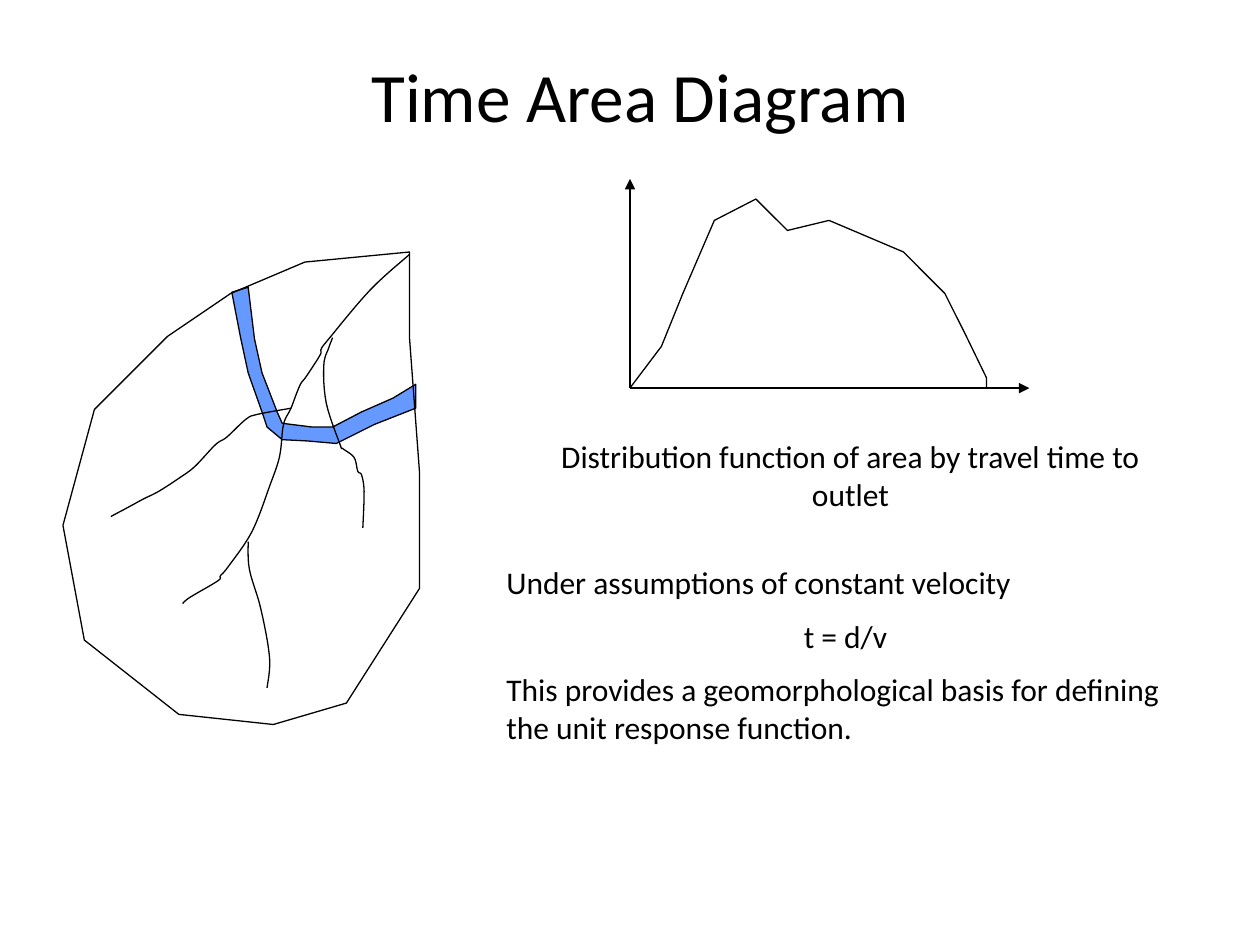
import pptx
import pptx.dml.color
import pptx.enum.shapes
import pptx.enum.text
import pptx.oxml.xmlchemy
import pptx.util

Inches = pptx.util.Inches
Pt = pptx.util.Pt
ALIGN = pptx.enum.text.PP_ALIGN
ANCHOR = pptx.enum.text.MSO_ANCHOR

COLORS = {"ink": "000000", "band": "6699FF"}
FONT = "Calibri"
LINE_WIDTH = 0.75

# Outlines in inches from the corner of their region
BASIN = [(2.75, 0), (1.92, 0.08), (1.33, 0.33), (0.83, 0.67), (0.25, 1.25),
         (0, 2.17), (0.17, 3.08), (0.92, 3.67), (1.67, 3.75), (2.25, 3.58),
         (2.83, 2.67), (2.83, 1.75), (2.75, 0.67)]
ISOCHRONE_BAND = [(1.47, 0.28), (1.52, 0.69), (1.58, 0.96), (1.7, 1.27),
                  (1.74, 1.36), (1.98, 1.39), (2.14, 1.39), (2.37, 1.27),
                  (2.62, 1.16), (2.8, 1.05), (2.8, 1.24), (2.47, 1.37),
                  (2.17, 1.52), (1.94, 1.5), (1.74, 1.49), (1.62, 1.39),
                  (1.58, 1.27), (1.47, 0.96), (1.41, 0.68), (1.34, 0.32)]
STREAMS = {
    "main": [(2.75, 0.02), (2.44, 0.3), (2.11, 0.69), (2.05, 0.77),
             (2.04, 0.82), (1.93, 0.99), (1.88, 1.06), (1.81, 1.24),
             (1.75, 1.37), (1.72, 1.62), (1.64, 1.86), (1.5, 2.22),
             (1.31, 2.5), (1.25, 2.57), (1.23, 2.61), (1.01, 2.74),
             (0.95, 2.79)],
    "west": [(1.81, 1.24), (1.54, 1.29), (1.45, 1.33), (1.3, 1.47),
             (1.21, 1.53), (1.05, 1.7), (0.93, 1.79), (0.76, 1.9),
             (0.64, 1.96), (0.53, 2.02), (0.38, 2.1)],
    "east": [(2.14, 0.68), (2.11, 0.76), (2.07, 0.9), (2.09, 1.2),
             (2.2, 1.53), (2.22, 1.56), (2.31, 1.63), (2.34, 1.74),
             (2.37, 1.77), (2.39, 1.9), (2.38, 2.19)],
    "south": [(1.47, 2.3), (1.48, 2.52), (1.57, 2.83), (1.64, 3.22),
              (1.62, 3.46)],
}
AREA_CURVE = [(0, 1.66), (0.25, 1.33), (0.42, 0.91), (0.67, 0.33), (1, 0.16),
              (1.25, 0.41), (1.58, 0.33), (2.17, 0.58), (2.5, 0.91),
              (2.67, 1.25), (2.83, 1.58), (2.83, 1.66)]


def rgb(name):
    return pptx.dml.color.RGBColor.from_string(COLORS[name])


def smooth(knots, steps=6):
    """Catmull-Rom curve through the knots."""
    pts = [knots[0], *knots, knots[-1]]
    curve = [knots[0]]
    for a, b, c, d in zip(pts, pts[1:], pts[2:], pts[3:]):
        for i in range(1, steps + 1):
            t = i / steps
            curve.append(tuple(
                q + 0.5 * t * (r - p + t * (2 * p - 5 * q + 4 * r - s
                                            + t * (3 * (q - r) + s - p)))
                for p, q, r, s in zip(a, b, c, d)))
    return curve


def set_line(sp):
    sp.line.color.rgb = rgb("ink")
    sp.line.width = Pt(LINE_WIDTH)


def add_outline(shapes, box, points, close=False, fill=None):
    left, top = box[:2]
    pts = [(Inches(left + x), Inches(top + y)) for x, y in points]
    builder = shapes.build_freeform(*pts[0], scale=1.0)
    builder.add_line_segments(pts[1:], close=close)
    sp = builder.convert_to_shape()
    sp.shadow.inherit = False
    if fill:
        sp.fill.solid()
        sp.fill.fore_color.rgb = rgb(fill)
    else:
        sp.fill.background()
    set_line(sp)


def add_axis(shapes, start, end):
    sp = shapes.add_connector(pptx.enum.shapes.MSO_CONNECTOR.STRAIGHT,
                              *map(Inches, (*start, *end)))
    set_line(sp)
    make = pptx.oxml.xmlchemy.OxmlElement
    arrow = make("a:tailEnd")
    arrow.set("type", "triangle")
    sp.line._get_or_add_ln().append(arrow)
    sp._element.spPr.append(make("a:effectLst"))


def add_text(s, box, paragraphs, size, anchor=ANCHOR.TOP, **paragraph_format):
    tf = s.shapes.add_textbox(*map(Inches, box)).text_frame
    tf.word_wrap = True
    tf.vertical_anchor = anchor
    for i, (text, align) in enumerate(paragraphs):
        p = tf.paragraphs[0] if i == 0 else tf.add_paragraph()
        if i:
            p.space_before = Pt(size / 2)
        for name, value in {"alignment": align, **paragraph_format}.items():
            setattr(p, name, value)
        r = p.add_run()
        r.text = text
        for name, value in {"size": Pt(size), "name": FONT}.items():
            setattr(r.font, name, value)
        r.font.color.rgb = rgb("ink")


def add_catchment(s, box):
    shapes = s.shapes.add_group_shape().shapes
    add_outline(shapes, box, ISOCHRONE_BAND, close=True, fill="band")
    add_outline(shapes, box, BASIN, close=True)
    for knots in STREAMS.values():
        add_outline(shapes, box, smooth(knots))


def add_area_graph(s, box):
    left, top, width, height = box
    shapes = s.shapes.add_group_shape().shapes
    origin = (left, top + height)
    add_axis(shapes, origin, (left, top))
    add_axis(shapes, origin, (left + width, top + height))
    add_outline(shapes, box, AREA_CURVE)


def main():
    prs = pptx.Presentation()
    prs.slide_width, prs.slide_height = Inches(10), Inches(7.5)
    s = prs.slides.add_slide(prs.slide_layouts[6])

    # Title
    add_text(s, (0.83, 0.42, 8.5, 0.75), [("Time Area Diagram", ALIGN.CENTER)],
             39.6, ANCHOR.MIDDLE, line_spacing=0.9)

    # Drawings
    add_catchment(s, (0.5, 2, 2.83, 3.75))
    add_area_graph(s, (5, 1.42, 3.17, 1.66))

    # Caption and explanation
    add_text(s, (4.25, 3.42, 5, 0.9),
             [("Distribution function of area by travel time to outlet",
               ALIGN.CENTER)], 18)
    add_text(s, (3.92, 4.42, 5.58, 2.1), [
        ("Under assumptions of constant velocity", ALIGN.LEFT),
        ("t = d/v", ALIGN.CENTER),
        ("This provides a geomorphological basis for defining "
         "the unit response function.", ALIGN.LEFT)], 18)

    prs.save("out.pptx")


if __name__ == "__main__":
    main()
